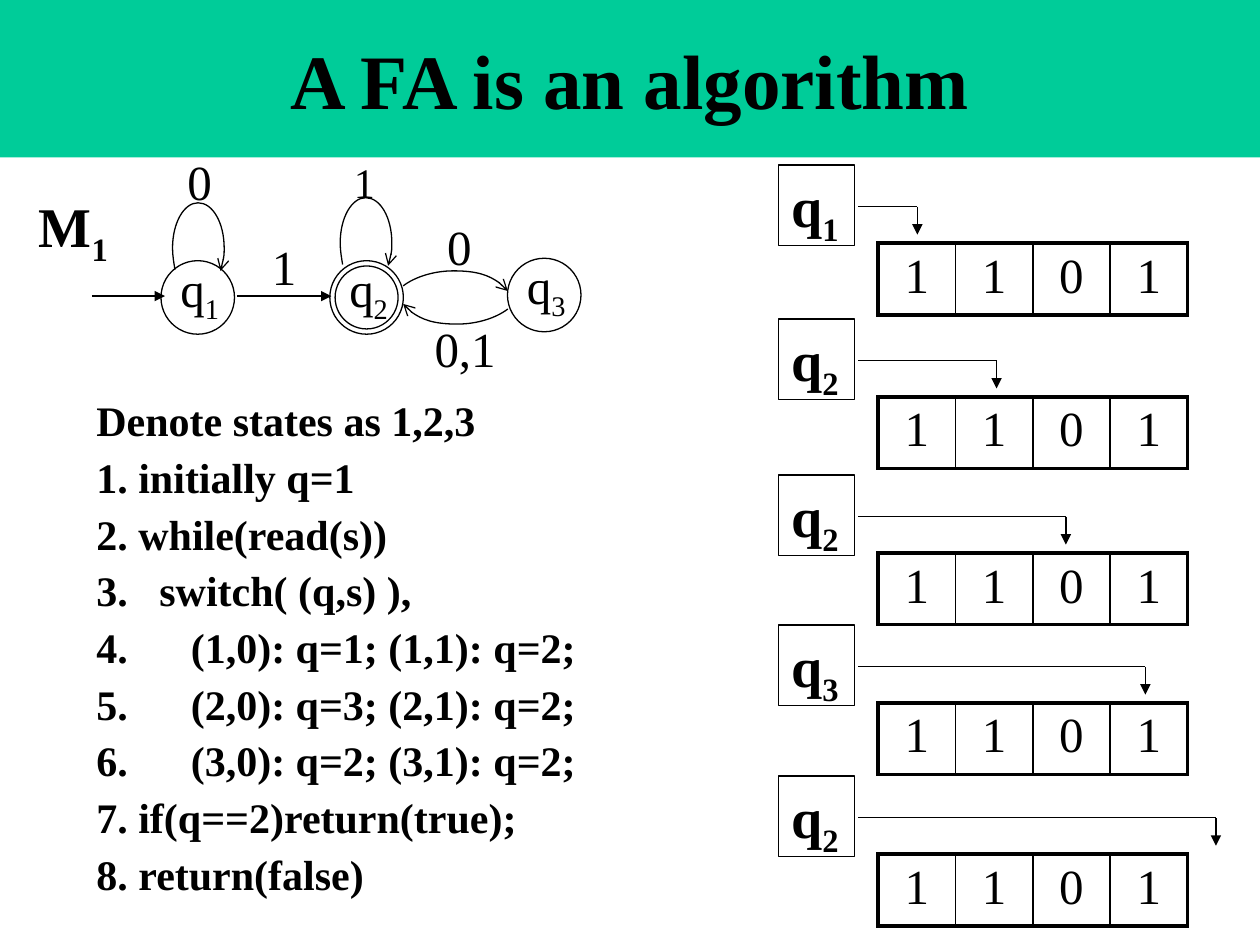
from lxml.etree import SubElement
from pptx import Presentation
from pptx.dml.color import RGBColor
from pptx.enum.shapes import MSO_CONNECTOR, MSO_SHAPE
from pptx.enum.text import MSO_ANCHOR, MSO_AUTO_SIZE, PP_ALIGN
from pptx.oxml.ns import qn
from pptx.util import Pt

BLACK = RGBColor(0x00, 0x00, 0x00)
GREEN = RGBColor(0x00, 0xCC, 0x99)
FONT = "Times New Roman"

STATE_SIZE = 42
LOOP = [(1.4, 38.2), (0.8, 34.6), (0, 30.3), (0, 25.9), (0, 11.5), (6.5, 0), (14.6, 0),
        (23, 0), (29.5, 11.5), (29.5, 25.9), (29.5, 30.2), (28.8, 35), (27.4, 38.9)]
ARC = [(215.4, 80.4), (221.9, 75.4), (232.7, 71.8), (244.2, 71.8),
       (257.9, 71.8), (270.1, 76.1), (275.2, 83.3)]
ARC_CENTER = (245.3, 87)

CODE = [
    "Denote states as 1,2,3",
    "1. initially q=1",
    "2. while(read(s))",
    "3.   switch( (q,s) ),",
    "4.      (1,0): q=1; (1,1): q=2;",
    "5.      (2,0): q=3; (2,1): q=2;",
    "6.      (3,0): q=2; (3,1): q=2;",
    "7. if(q==2)return(true);",
    "8. return(false)",
]
STEPS = [(94.3, "1", 79.2), (182.2, "2", 124.5), (271.4, "2", 164.1),
         (357.1, "3", 209.5), (443.5, "2", 249.8)]


def style(p, size, bold=False):
    for r in p.runs:
        r.font.name = FONT
        r.font.size = Pt(size)
        r.font.bold = bold
        r.font.color.rgb = BLACK


def write(tf, text, size, bold=False, sub="", align=PP_ALIGN.LEFT):
    p = tf.paragraphs[0]
    p.text = text
    p.alignment = align
    if sub:
        r = p.add_run()
        r.text = sub
        r.font._element.set("baseline", "-25000")
    style(p, size, bold)


def add_label(s, x, y, w, h, text, size, bold=False, sub=""):
    tf = s.shapes.add_textbox(Pt(x), Pt(y), Pt(w), Pt(h)).text_frame
    tf.word_wrap = False
    tf.auto_size = MSO_AUTO_SIZE.SHAPE_TO_FIT_TEXT
    write(tf, text, size, bold, sub)


def add_outline(s, kind, x, y, w, h):
    sp = s.shapes.add_shape(kind, Pt(x), Pt(y), Pt(w), Pt(h))
    sp.shadow.inherit = False
    sp.fill.background()
    set_line(sp)
    return sp


def set_line(sp, head=None):
    sp.line.color.rgb = BLACK
    sp.line.width = Pt(0.75)
    if head:
        SubElement(sp.line._get_or_add_ln(), qn("a:tailEnd"), type=head)


def add_line(s, x1, y1, x2, y2, head=None):
    cn = s.shapes.add_connector(MSO_CONNECTOR.STRAIGHT, Pt(x1), Pt(y1), Pt(x2), Pt(y2))
    set_line(cn, head)
    SubElement(cn._element.spPr, qn("a:effectLst"))


def add_curve(s, x, y, points):
    pts = [(Pt(x + dx), Pt(y + dy)) for dx, dy in points]
    fb = s.shapes.build_freeform(*pts[0], scale=1.0)
    fb.add_line_segments(pts[1:], close=False)
    sp = fb.convert_to_shape()
    sp.shadow.inherit = False
    sp.fill.background()
    set_line(sp, "arrow")
    segments = list(sp._element.iter(qn("a:lnTo")))
    for i in range(0, len(segments), 3):
        outline = segments[i].getparent()
        bezier = SubElement(outline, qn("a:cubicBezTo"))
        for segment in segments[i:i + 3]:
            bezier.append(segment[0])
            outline.remove(segment)


def add_title(s, x, y, w, h):
    sp = s.shapes.add_shape(MSO_SHAPE.RECTANGLE, Pt(x), Pt(y), Pt(w), Pt(h))
    sp.shadow.inherit = False
    sp.fill.solid()
    sp.fill.fore_color.rgb = GREEN
    sp.line.fill.background()
    sp.text_frame.vertical_anchor = MSO_ANCHOR.MIDDLE
    write(sp.text_frame, "A FA is an algorithm", 44, True, align=PP_ALIGN.CENTER)


def add_machine(s, x, y):
    add_label(s, x, y + 22.8, 55.4, 45.4, "M", 32, True, "1")
    for sub, dx, dy in [("1", 77, 66), ("2", 173.5, 66), ("3", 275, 64.6)]:
        add_outline(s, MSO_SHAPE.OVAL, x + dx, y + dy, STATE_SIZE, STATE_SIZE)
        add_label(s, x + dx + 4, y + dy - 5, 38, 41, "q", 28, sub=sub)
    add_outline(s, MSO_SHAPE.OVAL, x + 176.5, y + 69, 36, 36)
    for dx, dy in [(83.6, 32.9), (179.4, 30)]:
        add_curve(s, x + dx, y + dy, LOOP)
    cx, cy = ARC_CENTER
    add_curve(s, x, y, ARC)
    add_curve(s, x, y, [(2 * cx - px, 2 * cy - py) for px, py in ARC])
    for x1, x2 in [(37.5, 79.3), (120.4, 174.4)]:
        add_line(s, x + x1, y + 86.2, x + x2, y + 86.2, "triangle")
    for text, dx, dy, w, size in [("0", 85, 0, 28.8, 28), ("0", 233.4, 37.2, 28.8, 28),
                                  ("0,1", 226.2, 95.6, 49.7, 28),
                                  ("1", 133.3, 48.8, 28.8, 28), ("1", 180.1, 2.7, 26.6, 24)]:
        add_label(s, x + dx, y + dy, w, size * 1.47, text, size)


def set_border(cell, side, width):
    ln = SubElement(cell._tc.get_or_add_tcPr(), qn(f"a:ln{side}"), w=str(Pt(width)))
    fill = SubElement(ln, qn("a:solidFill"))
    SubElement(fill, qn("a:srgbClr"), val=str(BLACK))


def add_tape(s, x, y, w, h, symbols):
    n = len(symbols)
    table = s.shapes.add_table(1, n, Pt(x), Pt(y), Pt(w), Pt(h)).table
    table.first_row = False
    table.horz_banding = False
    for i, symbol in enumerate(symbols):
        table.columns[i].width = Pt(w / n)
        cell = table.cell(0, i)
        write(cell.text_frame, symbol, 28, align=PP_ALIGN.CENTER)
        set_border(cell, "L", 2.25 if i == 0 else 1)
        set_border(cell, "R", 2.25 if i == n - 1 else 1)
        set_border(cell, "T", 2.25)
        set_border(cell, "B", 2.25)
        cell.fill.background()


def add_step(s, x, y, state, head_x):
    add_tape(s, x + 56.8, y + 44.6, 176.8, 41, "1101")
    sp = add_outline(s, MSO_SHAPE.RECTANGLE, x, y, 43.4, 46)
    tf = sp.text_frame
    tf.word_wrap = False
    tf.auto_size = MSO_AUTO_SIZE.SHAPE_TO_FIT_TEXT
    tf.vertical_anchor = MSO_ANCHOR.TOP
    write(tf, "q", 32, True, state)
    add_line(s, x + 45.4, y + 23.8, x + head_x, y + 23.8)
    add_line(s, x + head_x, y + 23.8, x + head_x, y + 39.8, "triangle")


def add_code(s, x, y, w, h):
    tf = s.shapes.add_textbox(Pt(x), Pt(y), Pt(w), Pt(h)).text_frame
    tf.word_wrap = True
    for i, line in enumerate(CODE):
        p = tf.add_paragraph() if i else tf.paragraphs[0]
        p.text = line
        if i:
            p.space_before = Pt(3.6)
        style(p, 24, True)


def main():
    prs = Presentation()
    prs.slide_width, prs.slide_height = Pt(720), Pt(540)
    s = prs.slides.add_slide(prs.slide_layouts[6])
    add_title(s, 0, 0, 720, 90)
    add_machine(s, 15, 83)
    for top, state, head_x in STEPS:
        add_step(s, 445, top, state, head_x)
    add_code(s, 48, 222, 315.4, 292)
    prs.save("out.pptx")


if __name__ == "__main__":
    main()
